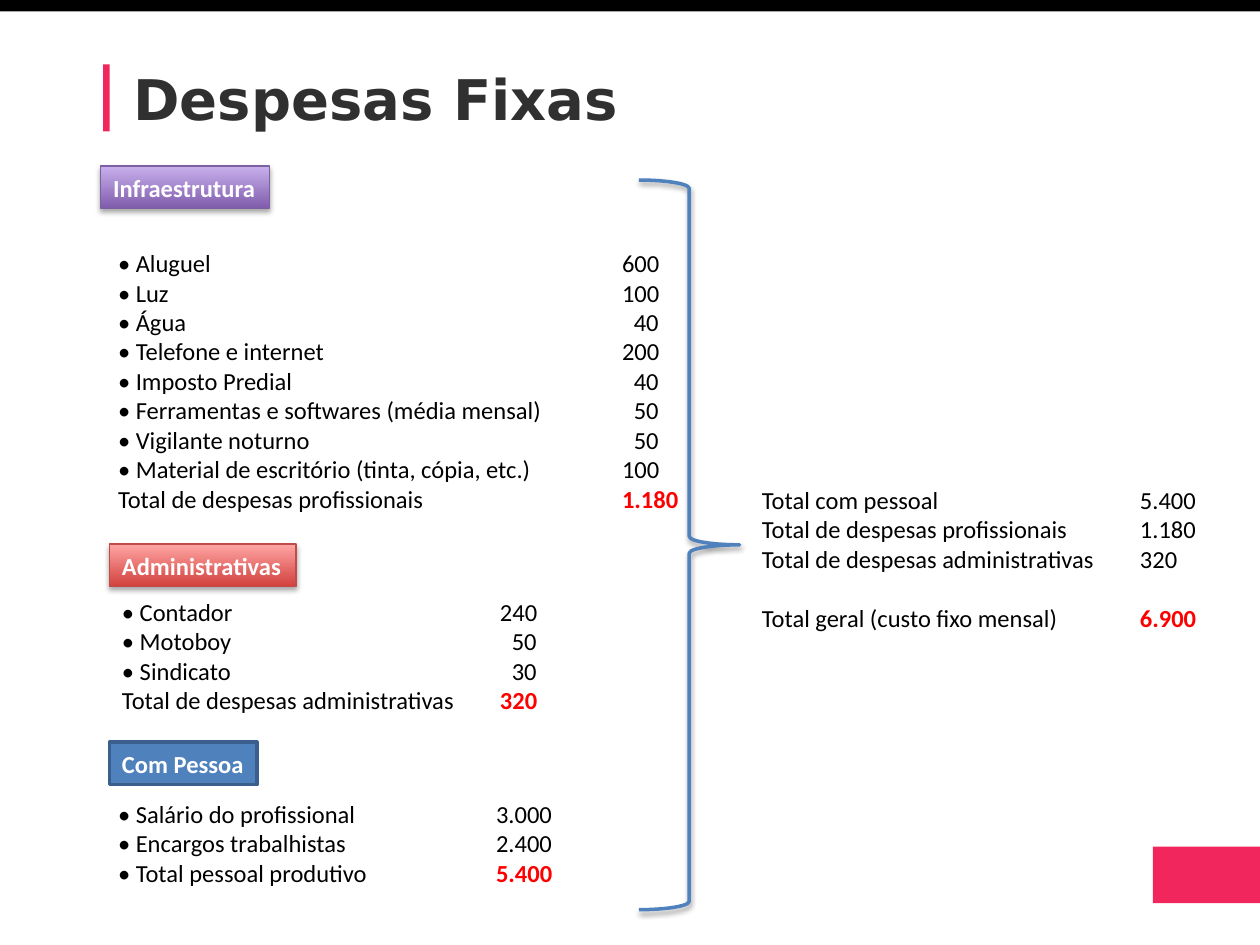
from lxml.etree import SubElement
from pptx import Presentation
from pptx.dml.color import RGBColor
from pptx.enum.shapes import MSO_SHAPE
from pptx.enum.text import MSO_ANCHOR, PP_ALIGN
from pptx.oxml.ns import qn
from pptx.util import Cm, Pt

BLACK = RGBColor(0x00, 0x00, 0x00)
WHITE = RGBColor(0xFF, 0xFF, 0xFF)
CHARCOAL = RGBColor(0x30, 0x30, 0x30)
PINK = RGBColor(0xF0, 0x26, 0x5D)
RED = RGBColor(0xFF, 0x00, 0x00)
BLUE = RGBColor(0x4F, 0x81, 0xBD)
NAVY = RGBColor(0x3A, 0x5F, 0x8C)
PURPLE = RGBColor(0x7F, 0x5B, 0xAB)
LILAC = RGBColor(0xC8, 0xB0, 0xED)
PURPLE_EDGE = RGBColor(0x7D, 0x60, 0xA0)
BRICK = RGBColor(0xD1, 0x40, 0x3C)
SALMON = RGBColor(0xFF, 0xA6, 0xA5)
BRICK_EDGE = RGBColor(0xBF, 0x4C, 0x48)


def style(span, color, bold=False, size=14, name="Calibri"):
    span.font.name = name
    span.font.size = Pt(size)
    span.font.bold = bold
    span.font.color.rgb = color


def add_shadow(shape, alpha, distance):
    effects = shape._element.spPr.find(qn("a:effectLst"))
    shadow = SubElement(effects, qn("a:outerShdw"), blurRad=str(Pt(3.1)),
                        dist=str(Pt(distance)), dir="5400000", rotWithShape="0")
    color = SubElement(shadow, qn("a:srgbClr"), val=str(BLACK))
    SubElement(color, qn("a:alpha"), val=str(alpha * 1000))


deck = Presentation()
deck.slide_width = Cm(25.4)
deck.slide_height = Cm(19.05)
page = deck.slides.add_slide(deck.slide_layouts[6])

bars = [
    (0, 0, 25.4, 0.23, BLACK),
    (2.08, 1.3, 0.13, 1.35, PINK),
    (23.24, 17.07, 2.18, 1.14, PINK),
]
for left, top, width, height, color in bars:
    bar = page.shapes.add_shape(MSO_SHAPE.RECTANGLE, Cm(left), Cm(top), Cm(width), Cm(height))
    bar.shadow.inherit = False
    bar.fill.solid()
    bar.fill.fore_color.rgb = color
    bar.line.fill.background()

title = page.shapes.add_textbox(Cm(2.44), Cm(1.32), Cm(20.7), Cm(1.5))
title.text_frame.word_wrap = True
para = title.text_frame.paragraphs[0]
para.text = "Despesas Fixas"
para.line_spacing = 0.9
style(para.runs[0], CHARCOAL, True, 32, "DejaVu Sans")

expense_lists = [
    (2.13, 15.98, 14.88, 2.06, 7.62, [
        ("• Salário do profissional", "3.000"),
        ("• Encargos trabalhistas", "2.400"),
        ("• Total pessoal produtivo", "5.400"),
    ]),
    (2.13, 4.88, 17.25, 5.64, 10.16, [
        ("• Aluguel", "600"),
        ("• Luz", "100"),
        ("• Água", "40"),
        ("• Telefone e internet", "200"),
        ("• Imposto Predial", "40"),
        ("• Ferramentas e softwares (média mensal)", "50"),
        ("• Vigilante noturno", "50"),
        ("• Material de escritório (tinta, cópia, etc.)", "100"),
        ("Total de despesas profissionais", "1.180"),
    ]),
    (2.21, 11.91, 12.7, 2.64, 7.62, [
        ("• Contador", "240"),
        ("• Motoboy", "50"),
        ("• Sindicato", "30"),
        ("Total de despesas administrativas", "320"),
    ]),
    (15.11, 9.65, 10.11, 3.25, 7.62, [
        ("Total com pessoal", "5.400"),
        ("Total de despesas profissionais", "1.180"),
        ("Total de despesas administrativas", "320"),
        ("Total geral (custo fixo mensal)", "6.900"),
    ]),
]
for left, top, width, height, stop, rows in expense_lists:
    box = page.shapes.add_textbox(Cm(left), Cm(top), Cm(width), Cm(height))
    frame = box.text_frame
    frame.word_wrap = True
    for index, (label, value) in enumerate(rows):
        para = frame.add_paragraph() if index else frame.paragraphs[0]
        para.text = label + "\t"
        style(para.runs[0], BLACK)
        amount = para.add_run()
        amount.text = value
        is_total = index == len(rows) - 1
        style(amount, RED if is_total else BLACK, is_total)
        short = len(value) == 2
        tabs = SubElement(para._p.get_or_add_pPr(), qn("a:tabLst"))
        SubElement(tabs, qn("a:tab"), pos=str(Cm(stop + 0.74 if short else stop)),
                   algn="r" if short else "l")
para.space_before = Pt(17)

headings = [
    ("Com Pessoa", 2.21, 14.96, 2.97, BLUE, None, NAVY, 2),
    ("Infraestrutura", 2.03, 3.35, 3.4, PURPLE, LILAC, PURPLE_EDGE, 0.75),
    ("Administrativas", 2.21, 10.97, 3.76, BRICK, SALMON, BRICK_EDGE, 0.75),
]
for text, left, top, width, dark, light, edge, weight in headings:
    heading = page.shapes.add_shape(MSO_SHAPE.RECTANGLE, Cm(left), Cm(top), Cm(width), Cm(0.86))
    heading.shadow.inherit = False
    if light:
        heading.fill.gradient()
        heading.fill.gradient_angle = 90
        for stop, color in zip(heading.fill.gradient_stops, (dark, light)):
            stop.color.rgb = color
        for stop, position in zip(heading.fill.gradient_stops, (0, 1)):
            stop.position = position
        add_shadow(heading, 35, 1.8)
    else:
        heading.fill.solid()
        heading.fill.fore_color.rgb = dark
    heading.line.color.rgb = edge
    heading.line.width = Pt(weight)
    frame = heading.text_frame
    frame.word_wrap = False
    frame.vertical_anchor = MSO_ANCHOR.MIDDLE
    para = frame.paragraphs[0]
    para.text = text
    para.alignment = PP_ALIGN.LEFT
    style(para.runs[0], WHITE, True)

brace = page.shapes.add_shape(MSO_SHAPE.RIGHT_BRACE, Cm(12.88), Cm(3.63), Cm(2.03), Cm(14.71))
brace.shadow.inherit = False
brace.fill.background()
brace.line.color.rgb = BLUE
brace.line.width = Pt(2)
add_shadow(brace, 38, 1.6)

deck.save("out.pptx")
